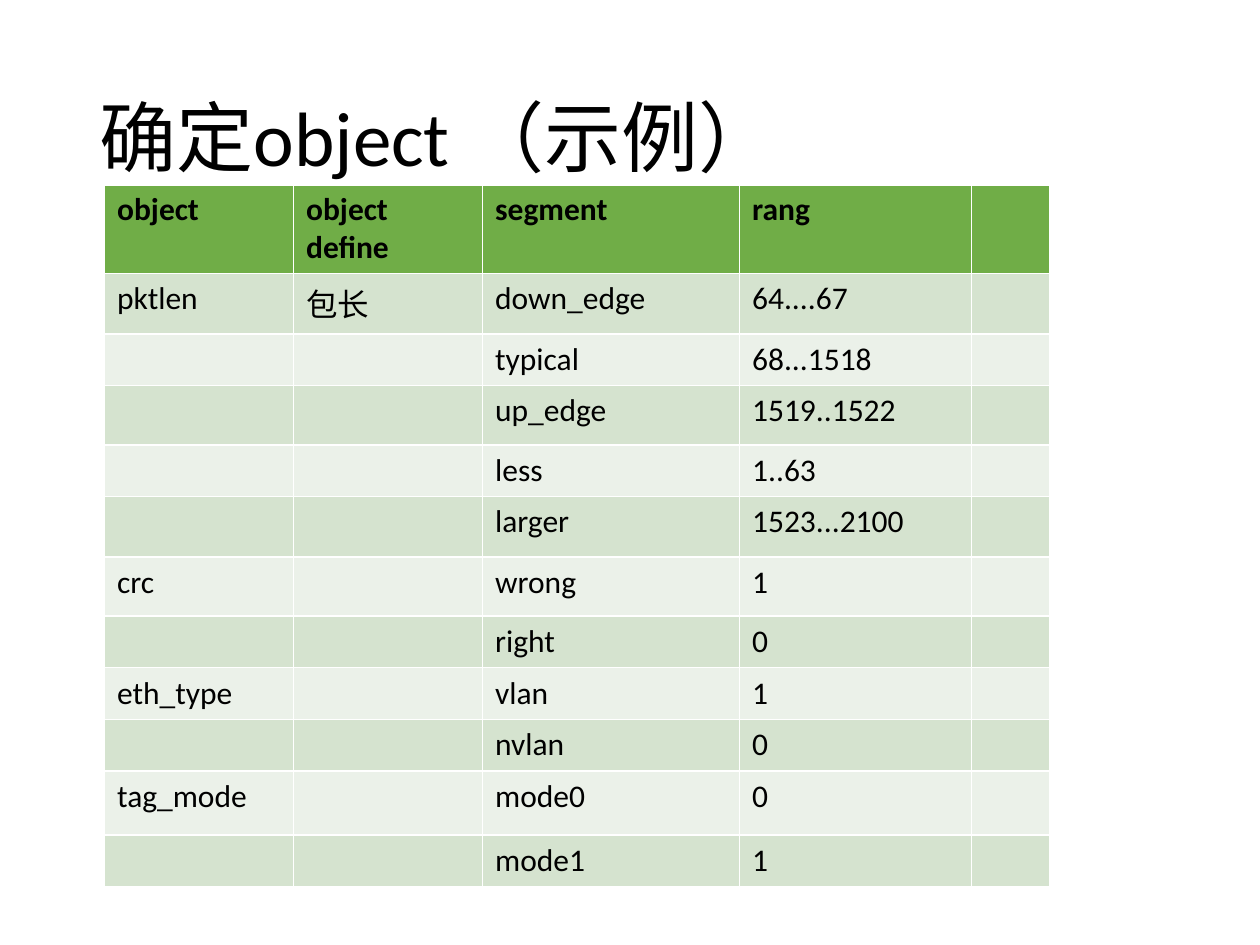
"""Build the slide that lists test objects with their segments and ranges."""
from lxml.etree import SubElement
from pptx import Presentation
from pptx.dml.color import RGBColor
from pptx.enum.text import MSO_ANCHOR, PP_ALIGN
from pptx.oxml.ns import qn
from pptx.util import Inches, Pt

COLORS = {"text": "000000", "header": "70AD47", "odd": "D5E3CF",
          "even": "EBF1E9", "border": "FFFFFF"}
ROWS = [
    ("object", "object  define", "segment", "rang", ""),
    ("pktlen", "包长", "down_edge", "64....67", ""),
    ("", "", "typical", "68...1518", ""),
    ("", "", "up_edge", "1519..1522", ""),
    ("", "", "less", "1..63", ""),
    ("", "", "larger", "1523...2100", ""),
    ("crc", "", "wrong", "1", ""),
    ("", "", "right", "0", ""),
    ("eth_type", "", "vlan", "1", ""),
    ("", "", "nvlan", "0", ""),
    ("tag_mode", "", "mode0", "0", ""),
    ("", "", "mode1", "1", ""),
]
COLUMN_WIDTHS = [1.5, 1.5, 2.04, 1.84, 0.62]
ROW_HEIGHTS = [0.7, 0.48, 0.41, 0.47, 0.41, 0.48, 0.47, 0.41, 0.41, 0.41, 0.51, 0.4]


def style_font(paragraph, size, bold=False):
    font = paragraph.font
    font.name, font.size, font.bold = "Calibri", Pt(size), bold
    font.color.rgb = RGBColor.from_string(COLORS["text"])


def add_border(cell, side, width):
    line = SubElement(cell._tc.get_or_add_tcPr(), qn(f"a:ln{side}"), w=str(Pt(width)))
    fill = SubElement(line, qn("a:solidFill"))
    SubElement(fill, qn("a:srgbClr"), val=COLORS["border"])


deck = Presentation()
deck.slide_width, deck.slide_height = Inches(10), Inches(7.5)
slide = deck.slides.add_slide(deck.slide_layouts[5])

title = slide.shapes.title
title.left, title.top = Inches(0.69), Inches(0.4)
title.width, title.height = Inches(8.62), Inches(1.45)
title.text_frame.text = "确定object （示例）"
title.text_frame.vertical_anchor = MSO_ANCHOR.MIDDLE
heading = title.text_frame.paragraphs[0]
heading.alignment = PP_ALIGN.LEFT
heading.line_spacing = 0.9
style_font(heading, 44)

objects = slide.shapes.add_table(
    len(ROWS), len(COLUMN_WIDTHS), Inches(0.83), Inches(1.46),
    Inches(sum(COLUMN_WIDTHS)), Inches(sum(ROW_HEIGHTS))).table
for column, width in zip(objects.columns, COLUMN_WIDTHS):
    column.width = Inches(width)
for row, height in zip(objects.rows, ROW_HEIGHTS):
    row.height = Inches(height)

for r, entries in enumerate(ROWS):
    shade = "header" if r == 0 else "odd" if r % 2 else "even"
    for c, entry in enumerate(entries):
        cell = objects.cell(r, c)
        for side in "LRTB":
            add_border(cell, side, 3 if r == 0 and side == "T" else 1)
        cell.fill.solid()
        cell.fill.fore_color.rgb = RGBColor.from_string(COLORS[shade])
        cell.text = entry
        style_font(cell.text_frame.paragraphs[0], 18, bold=r == 0)

deck.save("out.pptx")
